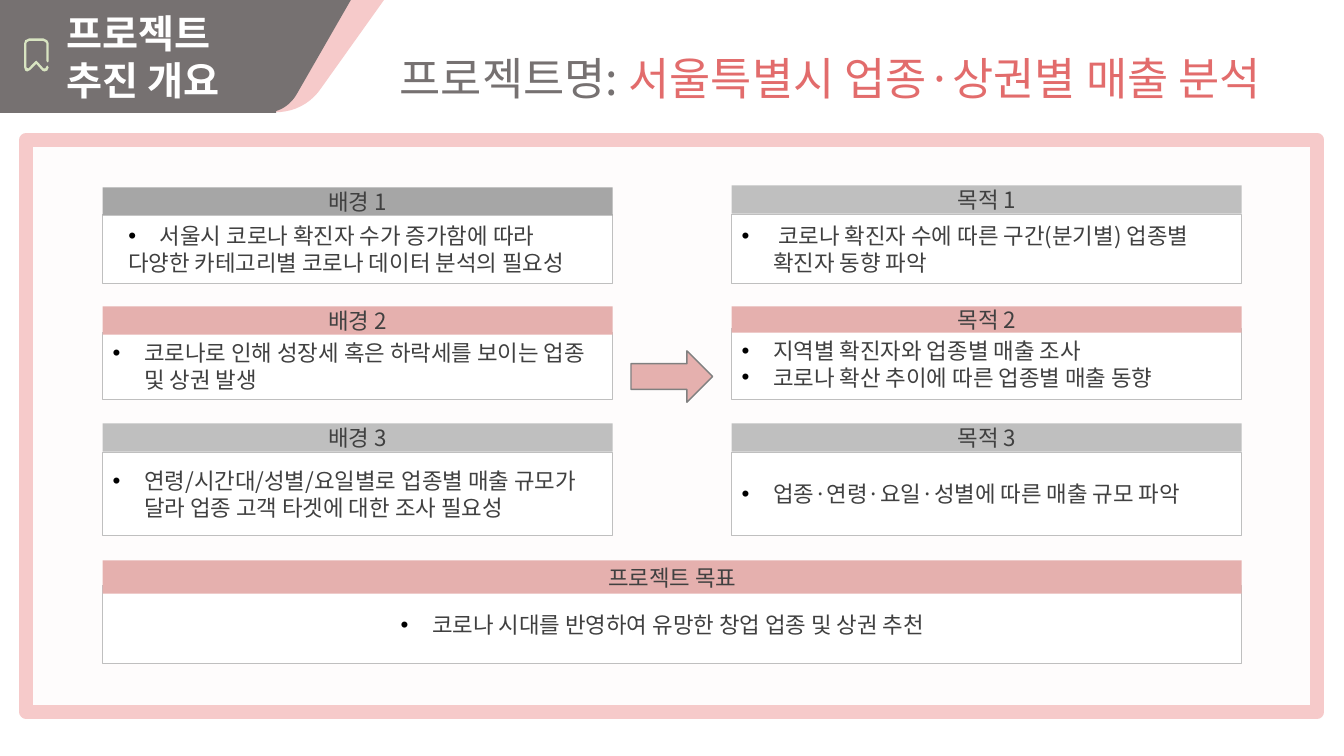
"""Build the project overview slide with backgrounds, purposes and the goal."""
from dataclasses import dataclass, field

import lxml.etree
import pptx
import pptx.dml.color
import pptx.enum.shapes
import pptx.enum.text
import pptx.oxml.ns
import pptx.util

Pt = pptx.util.Pt
qualified = pptx.oxml.ns.qn
SHAPES = pptx.enum.shapes.MSO_SHAPE
LEFT = pptx.enum.text.PP_ALIGN.LEFT
CENTER = pptx.enum.text.PP_ALIGN.CENTER
TOP = pptx.enum.text.MSO_ANCHOR.TOP
MIDDLE = pptx.enum.text.MSO_ANCHOR.MIDDLE


@dataclass(frozen=True)
class Theme:
    font: str = "Noto Sans CJK KR"
    white: str = "FFFFFF"
    black: str = "000000"
    slate: str = "767171"
    ink: str = "404040"
    coral: str = "E26C6C"
    blush: str = "F6CACA"
    rose: str = "E5B0AE"
    paper: str = "FEFCFC"
    silver: str = "BFBFBF"
    gray: str = "A6A6A6"
    edge: str = "808080"
    leaf: str = "D8E4C1"
    body_size: float = 16
    banner_size: float = 28
    title_size: float = 32


THEME = Theme()


@dataclass(frozen=True)
class Frame:
    left: float
    top: float
    width: float
    height: float


@dataclass(frozen=True)
class Span:
    text: str
    color: str = THEME.ink
    size: float = THEME.body_size
    bold: bool = False


@dataclass(frozen=True)
class Para:
    spans: list[Span]
    align: int = LEFT
    margin: float = 0
    hanging: float = 0
    right: float = 0
    spacing: float = 1.0


@dataclass(frozen=True)
class Card:
    title: str
    color: str
    header: Frame
    body: Frame
    paras: list[Para]


@dataclass(frozen=True)
class Outline:
    color: str
    start: tuple[float, float]
    steps: list[tuple] = field(default_factory=list)


def bullet(text: str, margin: float = 22.5, align: int = LEFT, right: float = 0) -> Para:
    return Para([Span(text)], align, margin, 22.5, right)


def rgb(color: str) -> pptx.dml.color.RGBColor:
    return pptx.dml.color.RGBColor.from_string(color)


def assign(target: object, values: dict) -> None:
    for name, value in values.items():
        setattr(target, name, value)


def paint(shape, fill: str, line: str = "", weight: float = 0.75) -> None:
    shape.shadow.inherit = False
    shape.fill.solid()
    shape.fill.fore_color.rgb = rgb(fill)
    if line:
        shape.line.color.rgb = rgb(line)
        shape.line.width = Pt(weight)
    else:
        shape.line.fill.background()


def add_block(page, frame: Frame, fill: str, line: str = "", weight: float = 0.75,
              kind: int = SHAPES.RECTANGLE):
    shape = page.shapes.add_shape(kind, Pt(frame.left), Pt(frame.top),
                                  Pt(frame.width), Pt(frame.height))
    paint(shape, fill, line, weight)
    return shape


def write(box, paras: list[Para], anchor: int = MIDDLE,
          insets: tuple[float, float, float, float] = (7.2, 3.6, 7.2, 3.6)) -> None:
    text_frame = box.text_frame
    sides = ("margin_left", "margin_top", "margin_right", "margin_bottom")
    assign(text_frame, {"word_wrap": True, "vertical_anchor": anchor}
           | {side: Pt(inset) for side, inset in zip(sides, insets)})
    for index, para in enumerate(paras):
        paragraph = text_frame.add_paragraph() if index else text_frame.paragraphs[0]
        assign(paragraph, {"alignment": para.align, "line_spacing": para.spacing})
        properties = paragraph._p.get_or_add_pPr()
        for name, points in (("marL", para.margin), ("indent", -para.hanging), ("marR", para.right)):
            properties.set(name, str(int(Pt(points))))
        if para.hanging:
            color = lxml.etree.SubElement(properties, qualified("a:buClr"))
            lxml.etree.SubElement(color, qualified("a:srgbClr"), val=THEME.black)
            lxml.etree.SubElement(properties, qualified("a:buFont"), typeface="Arial")
            lxml.etree.SubElement(properties, qualified("a:buChar"), char="•")
        for span in para.spans:
            run = paragraph.add_run()
            run.text = span.text
            run.font.color.rgb = rgb(span.color)
            assign(run.font, {"name": THEME.font, "size": Pt(span.size), "bold": span.bold})
            lxml.etree.SubElement(run._r.get_or_add_rPr(), qualified("a:ea"), typeface=THEME.font)


def flatten(outline: Outline, pieces: int = 16) -> list[tuple[float, float]]:
    """Turn straight steps and cubic curve steps into a list of vertices."""
    points = [outline.start]
    for step in outline.steps:
        if len(step) == 2:
            points.append(step)
            continue
        corners = (points[-1], *step)
        for piece in range(1, pieces + 1):
            t = piece / pieces
            weights = ((1 - t) ** 3, 3 * t * (1 - t) ** 2, 3 * t * t * (1 - t), t ** 3)
            points.append(tuple(sum(w * corner[axis] for w, corner in zip(weights, corners))
                                for axis in (0, 1)))
    return points


def add_outline(page, outline: Outline) -> None:
    first, *rest = [(Pt(x), Pt(y)) for x, y in flatten(outline)]
    builder = page.shapes.build_freeform(*first, scale=1.0)
    builder.add_line_segments(rest, close=True)
    paint(builder.convert_to_shape(), outline.color)


def add_card(page, card: Card) -> None:
    write(add_block(page, card.body, THEME.white, THEME.silver), card.paras)
    write(add_block(page, card.header, card.color),
          [Para([Span(card.title)], CENTER)], insets=(5.8, 5.8, 5.8, 5.8))


RIBBONS = [
    Outline(THEME.blush, (175.7, 0), [
        (274.3, 0), (229.7, 62.6), ((217.4, 81.4), (192.2, 85.7), (174.2, 72.7)),
        ((155.5, 59.8), (151.2, 35.3), (164.2, 16.6))]),
    Outline(THEME.slate, (157.7, 0), [
        (250.6, 0), (211.7, 67.7), ((204.5, 79.9), (189.4, 84.2), (177.1, 77)),
        (151.2, 61.9), ((139, 54.7), (134.6, 39.6), (141.8, 27.4))]),
]
BOOKMARK = Outline(THEME.leaf, (19.4, 51.1), [
    (18, 50.4), (17.3, 48.2), (17.3, 31), (18, 28.8), (20.9, 27.4), (31, 27.4),
    (33.8, 28.8), (34.8, 31), (34.8, 43.9), (33.8, 44.6), (33.1, 43.2), (33.1, 31),
    (32.4, 30), (31, 29.3), (20.9, 29.3), (19.4, 30), (18.9, 31), (18.9, 48.2),
    (20.2, 49), (25.2, 43.9), (25.9, 43.4), (26.6, 43.9), (31, 48.8), (32.4, 49),
    (33.1, 47.5), (33.8, 46.8), (34.8, 48.2), (33.8, 50.4), (31.7, 51.1),
    (30.2, 50.4), (25.9, 45.6), (21.6, 50)])

NEAR, FAR, COLUMN, FULL = 73.4, 522.7, 364.3, 813.6
CARDS = [
    Card("배경 1", THEME.gray, Frame(NEAR, 133.9, COLUMN, 20.2), Frame(NEAR, 153.4, COLUMN, 49),
         [bullet("서울시 코로나 확진자 수가 증가함에 따라", 33.8),
          Para([Span("다양한 카테고리별 코로나 데이터 분석의 필요성")], margin=11)]),
    Card("배경 2", THEME.rose, Frame(NEAR, 218.9, COLUMN, 20.2), Frame(NEAR, 237.6, COLUMN, 47.5),
         [bullet("코로나로 인해 성장세 혹은 하락세를 보이는 업종 및 상권 발생")]),
    Card("배경 3", THEME.silver, Frame(NEAR, 302.4, COLUMN, 20.2), Frame(NEAR, 323.3, COLUMN, 59),
         [bullet("연령/시간대/성별/요일별로 업종별 매출 규모가 달라 업종 고객 타겟에 대한 조사 필요성")]),
    Card("목적 1", THEME.silver, Frame(FAR, 132.5, COLUMN, 20.2), Frame(FAR, 153.4, COLUMN, 49),
         [bullet(" 코로나 확진자 수에 따른 구간(분기별) 업종별 확진자 동향 파악")]),
    Card("목적 2", THEME.rose, Frame(FAR, 218.9, COLUMN, 18.7), Frame(FAR, 234.7, COLUMN, 50.4),
         [bullet("지역별 확진자와 업종별 매출 조사"), bullet("코로나 확산 추이에 따른 업종별 매출 동향")]),
    Card("목적 3", THEME.silver, Frame(FAR, 302.4, COLUMN, 20.2), Frame(FAR, 323.3, COLUMN, 59),
         [bullet("업종·연령·요일·성별에 따른 매출 규모 파악")]),
    Card("프로젝트 목표", THEME.rose, Frame(NEAR, 400.3, FULL, 23.8), Frame(NEAR, 418.3, FULL, 55.4),
         [bullet("코로나 시대를 반영하여 유망한 창업 업종 및 상권 추천", align=CENTER, right=14)]),
]


def main() -> None:
    deck = pptx.Presentation()
    assign(deck, {"slide_width": Pt(960), "slide_height": Pt(540)})
    page = deck.slides.add_slide(deck.slide_layouts[6])
    for ribbon in RIBBONS:
        add_outline(page, ribbon)
    banner = add_block(page, Frame(0, 0, 197.3, 80.6), THEME.slate)
    write(banner, [Para([Span("프로젝트 추진 개요", THEME.white, THEME.banner_size, True)], margin=36)],
          insets=(11.5, 3.6, 7.2, 3.6))
    add_outline(page, BOOKMARK)
    title = page.shapes.add_textbox(Pt(229.7), Pt(13.7), Pt(727.2), Pt(118.8))
    write(title, [Para([Span("프로젝트명: ", THEME.slate, THEME.title_size),
                        Span("서울특별시 업종·상권별 매출 분석", THEME.coral, THEME.title_size)],
                       CENTER, spacing=1.5)], TOP)
    add_block(page, Frame(18.7, 100.1, 922.3, 408.2), THEME.paper, THEME.blush, 10)
    for card in CARDS:
        add_card(page, card)
    add_block(page, Frame(450.7, 250.6, 58.3, 36.7), THEME.rose, THEME.edge, 1, SHAPES.RIGHT_ARROW)
    deck.save("out.pptx")


if __name__ == "__main__":
    main()
